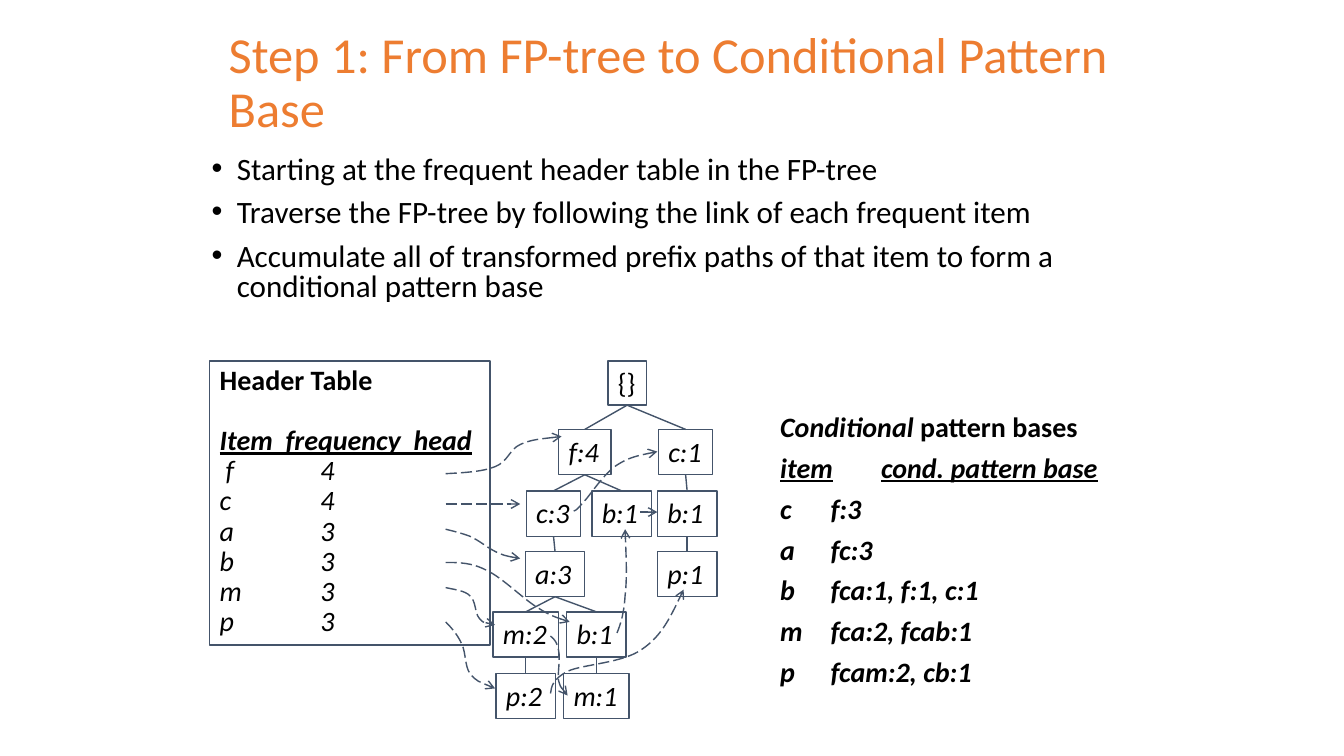
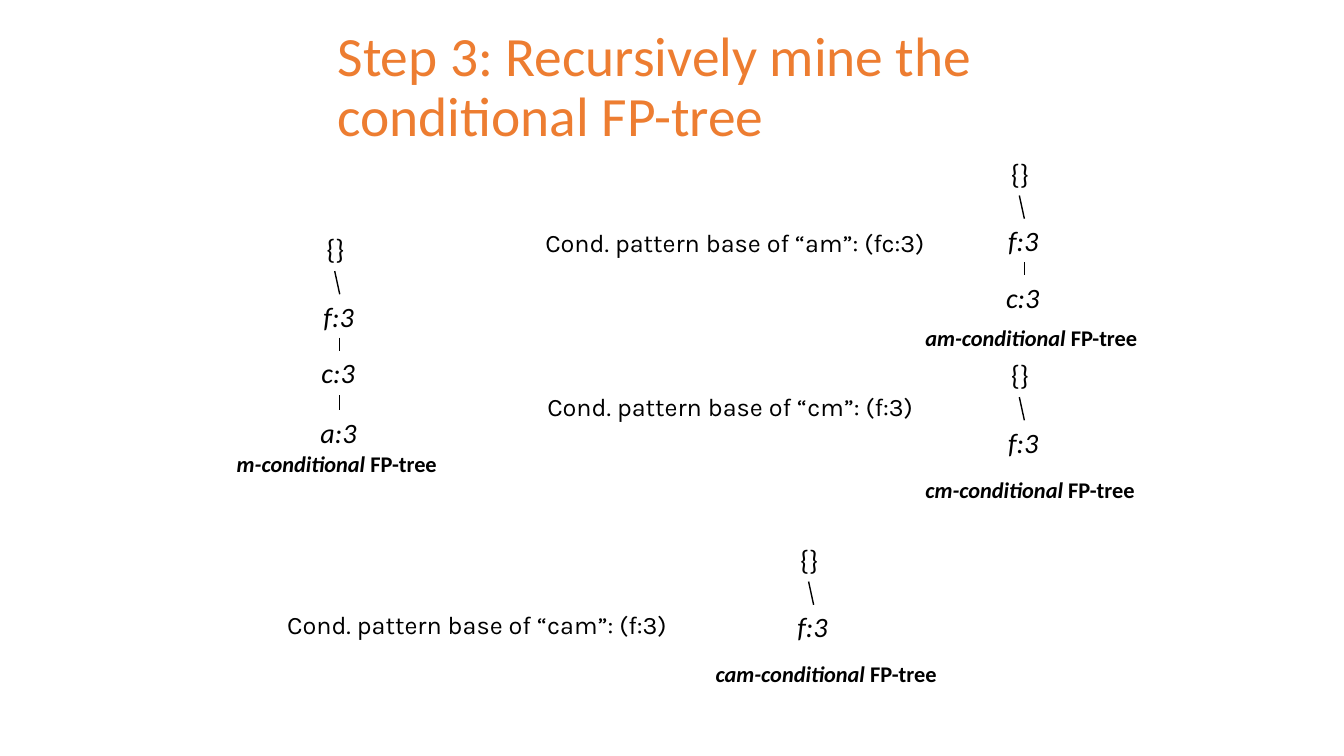
from lxml.etree import SubElement
from pptx import Presentation
from pptx.dml.color import RGBColor
from pptx.enum.dml import MSO_LINE as Dash
from pptx.enum.shapes import MSO_CONNECTOR as Connector, MSO_SHAPE as Preset
from pptx.enum.text import MSO_ANCHOR as Anchor, PP_ALIGN as Align
from pptx.oxml.ns import qn
from pptx.util import Inches, Pt

COLORS = {"title": "ED7D31", "text": "000000", "tree": "44546A"}

STEPS = [
    "Starting at the frequent header table in the FP-tree",
    "Traverse the FP-tree by following the link of each frequent item",
    "Accumulate all of transformed prefix paths of that item to form a conditional pattern base",
]
FREQUENCIES = [("f", 4), ("c", 4), ("a", 3), ("b", 3), ("m", 3), ("p", 3)]
PATTERN_BASES = [
    ("c", "f:3"),
    ("a", "fc:3"),
    ("b", "fca:1, f:1, c:1"),
    ("m", "fca:2, fcab:1"),
    ("p", "fcam:2, cb:1"),
]

ROOT_TOP, LEVEL_TOP, LEVEL_STEP = 3.58, 4.26, 0.6
ROOT_HEIGHT, NODE_HEIGHT = 0.44, 0.45
LEVEL_TOPS = [ROOT_TOP, 4.26, 4.87, 5.47, 6.07, 6.68]
NODES = {
    "root": ("{}", 6.03, 0, 0.38),
    "f": ("f:4", 5.54, 1, 0.52),
    "c right": ("c:1", 6.53, 1, 0.54),
    "c": ("c:3", 5.22, 2, 0.54),
    "b": ("b:1", 5.87, 2, 0.59),
    "b right": ("b:1", 6.52, 2, 0.59),
    "a": ("a:3", 5.21, 3, 0.59),
    "p right": ("p:1", 6.52, 3, 0.59),
    "m": ("m:2", 4.89, 4, 0.65),
    "b low": ("b:1", 5.62, 4, 0.59),
    "p": ("p:2", 4.92, 5, 0.59),
    "m low": ("m:1", 5.59, 5, 0.65),
}
EDGES = [
    ("root", "f"), ("root", "c right"), ("c right", "b right"), ("b right", "p right"),
    ("f", "c"), ("f", "b"), ("c", "a"), ("a", "m"), ("a", "b low"),
    ("m", "p"), ("b low", "m low"),
]
STRAIGHT_LINKS = [((4.42, 5), (5.16, 5)), ((6.35, 5.08), (6.52, 5.08))]
CURVED_LINKS = [
    [(4.42, 4.7), (4.6, 4.69), (4.79, 4.68), (4.91, 4.63), (5.04, 4.58),
     (5.05, 4.46), (5.16, 4.41), (5.27, 4.36), (5.42, 4.35), (5.57, 4.33)],
    [(5.69, 5.07), (5.7, 5.07), (5.71, 5.07), (5.78, 4.99), (5.85, 4.92),
     (5.98, 4.71), (6.11, 4.62), (6.23, 4.54), (6.37, 4.51), (6.52, 4.48)],
    [(4.42, 5.25), (4.5, 5.27), (4.58, 5.29), (4.66, 5.32), (4.75, 5.36),
     (4.83, 5.43), (4.91, 5.47), (4.99, 5.51), (5.08, 5.53), (5.16, 5.54)],
    [(4.42, 5.58), (4.55, 5.58), (4.68, 5.58), (4.83, 5.66), (4.98, 5.73),
     (5.19, 5.94), (5.32, 6.02), (5.46, 6.11), (5.56, 6.14), (5.65, 6.17)],
    [(6.12, 6.28), (6.16, 6.18), (6.19, 6.08), (6.2, 5.91), (6.22, 5.74),
     (6.21, 5.5), (6.2, 5.25)],
    [(4.42, 5.83), (4.51, 5.85), (4.61, 5.86), (4.66, 5.91), (4.72, 5.96),
     (4.71, 6.08), (4.75, 6.13), (4.79, 6.18), (4.85, 6.19), (4.91, 6.2)],
    [(5.46, 6.31), (5.5, 6.34), (5.53, 6.38), (5.54, 6.45), (5.56, 6.53),
     (5.53, 6.68), (5.54, 6.75), (5.56, 6.82), (5.59, 6.86), (5.63, 6.9)],
    [(4.42, 6.17), (4.48, 6.23), (4.54, 6.3), (4.58, 6.39), (4.62, 6.47),
     (4.61, 6.61), (4.66, 6.68), (4.72, 6.76), (4.82, 6.79), (4.91, 6.83)],
    [(5.46, 6.88), (5.47, 6.81), (5.48, 6.74), (5.63, 6.66), (5.78, 6.59),
     (6.18, 6.58), (6.37, 6.44), (6.56, 6.31), (6.67, 6.08), (6.78, 5.85)],
]

CHAIN_NODES = [("{}", 0, 0, 0.38), ("f:3", -0.03, 0.67, 0.51),
               ("c:3", -0.05, 1.23, 0.56), ("a:3", -0.06, 1.82, 0.57)]
CHAIN_LINES = [((0.18, 0.44), (0.23, 0.67)), ((0.23, 1.1), (0.23, 1.23)),
               ((0.23, 1.67), (0.23, 1.82))]
CHAINS = [
    ("m", (3.14, 2.25), 4, (2.25, 4.42, 2.26, 0.37)),
    ("am", (9.93, 1.5), 3, (9.08, 3.17, 2.37, 0.37)),
    ("cm", (9.93, 3.5), 2, (9.08, 4.67, 2.36, 0.37)),
    ("cam", (7.84, 5.33), 2, (7, 6.5, 2.47, 0.37)),
]
BASE_NOTES = [
    ("Cond. pattern base of “am”: (fc:3)", (5.31, 2.21, 4, 0.4)),
    ("Cond. pattern base of “cm”: (f:3)", (5.33, 3.83, 3.87, 0.4)),
    ("Cond. pattern base of “cam”: (f:3)", (2.75, 6, 4, 0.4)),
]


def color(name):
    return RGBColor.from_string(COLORS[name])


def inches(values):
    return [Inches(value) for value in values]


def set_style(font, style):
    font.bold, font.italic, font.underline = ("b" in style, "i" in style, "u" in style)


def add_para(box, spans, size=20, spacing=None, before=0, indent=0, bullet=False,
             tab=None, name="Calibri", ink="text"):
    frame = box.text_frame
    para = frame.paragraphs[0]
    if para.runs:
        para = frame.add_paragraph()
        para.space_before = Pt(before)
    para.alignment = Align.LEFT
    if spacing:
        para.line_spacing = spacing
    props = para._p.get_or_add_pPr()
    if bullet:
        props.set("marL", str(Inches(0.25)))
        props.set("indent", str(-Inches(0.25)))
        SubElement(props, qn("a:buFont"), typeface="Arial")
        SubElement(props, qn("a:buChar"), char="•")
    elif indent:
        props.set("marL", str(Inches(indent)))
    if tab:
        stops = SubElement(props, qn("a:tabLst"))
        SubElement(stops, qn("a:tab"), pos=str(Inches(tab)), algn="l")
    para.font.name, para.font.size = name, Pt(size)
    para.font.color.rgb = color(ink)
    if len(spans) == 1:
        set_style(para.font, spans[0][1])
    for text, style in spans:
        span = para.add_run()
        span.text = text
        if len(spans) > 1:
            set_style(span.font, style)


def add_box(page, at, wrap=True, anchor=Anchor.TOP):
    box = page.shapes.add_textbox(*inches(at))
    box.text_frame.word_wrap = wrap
    box.text_frame.vertical_anchor = anchor
    return box


def add_frame(page, at, wrap=False):
    box = page.shapes.add_shape(Preset.RECTANGLE, *inches(at))
    box.shadow.inherit = False
    box.fill.background()
    set_line(box.line, "tree")
    box.text_frame.word_wrap = wrap
    box.text_frame.vertical_anchor = Anchor.TOP
    return box


def add_title(page, at, text, size):
    box = add_box(page, at, anchor=Anchor.MIDDLE)
    add_para(box, [(text, "")], size, spacing=0.9, ink="title")


def set_line(line, ink, arrow=False):
    line.color.rgb = color(ink)
    line.width = Pt(1)
    if arrow:
        line.dash_style = Dash.LONG_DASH
        SubElement(line._get_or_add_ln(), qn("a:tailEnd"), type="arrow")


def add_line(page, start, end, ink, arrow=False):
    line = page.shapes.add_connector(Connector.STRAIGHT, *inches(start + end))
    set_line(line.line, ink, arrow)
    SubElement(line._element.spPr, qn("a:effectLst"))


def add_curve(page, points):
    builder = page.shapes.build_freeform(*inches(points[0]))
    builder.add_line_segments([inches(point) for point in points[1:]], close=False)
    curve = builder.convert_to_shape()
    segments = list(curve._element.iter(qn("a:lnTo")))
    outline = segments[0].getparent()
    for first in range(0, len(segments), 3):
        bend = SubElement(outline, qn("a:cubicBezTo"))
        for segment in segments[first:first + 3]:
            bend.append(segment[0])
            outline.remove(segment)
    curve.shadow.inherit = False
    curve.fill.background()
    set_line(curve.line, "tree", arrow=True)


def add_tree(page):
    tops, bottoms = {}, {}
    for key, (label, left, level, width) in NODES.items():
        top = LEVEL_TOPS[level]
        height = NODE_HEIGHT if level else ROOT_HEIGHT
        box = add_frame(page, (left, top, width, height))
        add_para(box, [(label, "i" if level else "")])
        tops[key] = (left + width / 2, top)
        bottoms[key] = (left + width / 2, top + height)
    for parent, child in EDGES:
        add_line(page, bottoms[parent], tops[child], "tree")


def add_pattern_page(page):
    add_title(page, (2.17, 0.25, 9.17, 1.17),
              "Step 1: From FP-tree to Conditional Pattern Base", 36)
    steps = add_box(page, (2, 1.5, 9.25, 1.58))
    for text in STEPS:
        add_para(steps, [(text, "")], 22.2, spacing=0.8, before=10, bullet=True)

    bases = add_box(page, (7.64, 4.01, 3.64, 3.07))
    add_para(bases, [("Conditional ", "bi"), ("pattern bases", "b")])
    add_para(bases, [("item\tcond. pattern base", "biu")], spacing=0.8, before=10)
    for item, base in PATTERN_BASES:
        add_para(bases, [(f"{item}\t{base}", "bi")], spacing=0.8, before=10)

    add_tree(page)
    header = add_frame(page, (2.08, 3.58, 2.78, 2.82), wrap=True)
    add_para(header, [("Header Table", "b")], spacing=0.9)
    add_para(header, [("Item  frequency  head", "biu")], spacing=0.9, before=21.6)
    for row, (item, count) in enumerate(FREQUENCIES):
        indent = 0 if row else 0.06
        add_para(header, [(f"{item}\t{count}", "i")], spacing=0.9,
                 indent=indent, tab=1 - indent)

    for start, end in STRAIGHT_LINKS:
        add_line(page, start, end, "tree", arrow=True)
    for points in CURVED_LINKS:
        add_curve(page, points)


def add_chain(page, name, origin, length, caption_at):
    left, top = origin
    for label, right, down, width in CHAIN_NODES[:length]:
        box = add_box(page, (left + right, top + down, width, 0.43), wrap=False)
        add_para(box, [(label, "i" if down else "")])
    for ends in CHAIN_LINES[:length - 1]:
        start, end = [(left + x, top + y) for x, y in ends]
        add_line(page, start, end, "text")
    caption = add_box(page, caption_at, wrap=False)
    add_para(caption, [(f"{name}-conditional ", "bi"), ("FP-tree", "b")], 16)


def add_mining_page(page):
    add_title(page, (3.25, 0.34, 7.33, 1.08),
              "Step 3: Recursively mine the conditional FP-tree", 39.6)
    for chain in CHAINS:
        add_chain(page, *chain)
    for text, at in BASE_NOTES:
        add_para(add_box(page, at), [(text, "")], 18, name="Karla")


def main():
    deck = Presentation()
    deck.slide_width, deck.slide_height = Inches(13.33), Inches(7.5)
    for fill_page in (add_pattern_page, add_mining_page):
        fill_page(deck.slides.add_slide(deck.slide_layouts[6]))
    deck.save("out.pptx")


if __name__ == "__main__":
    main()
